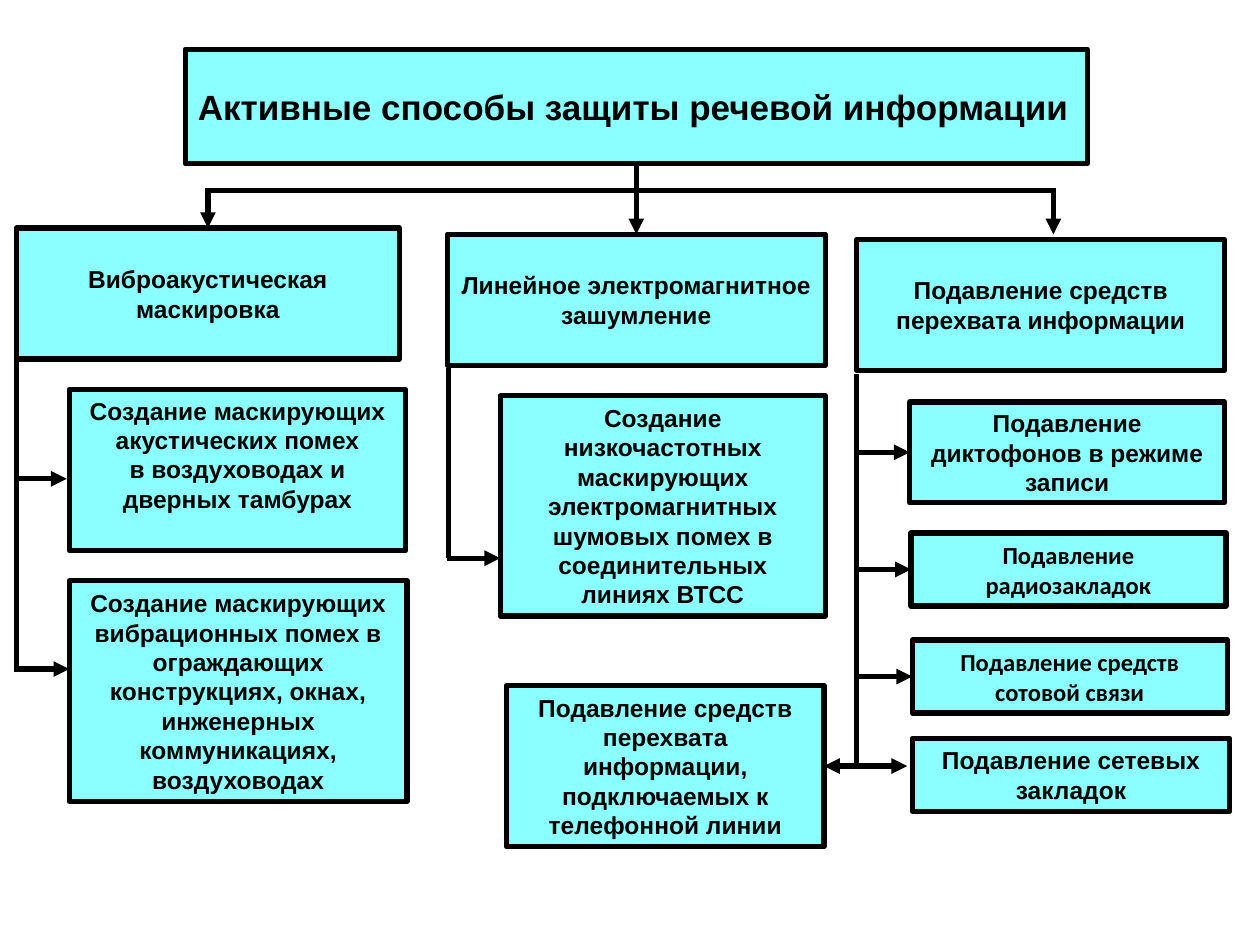
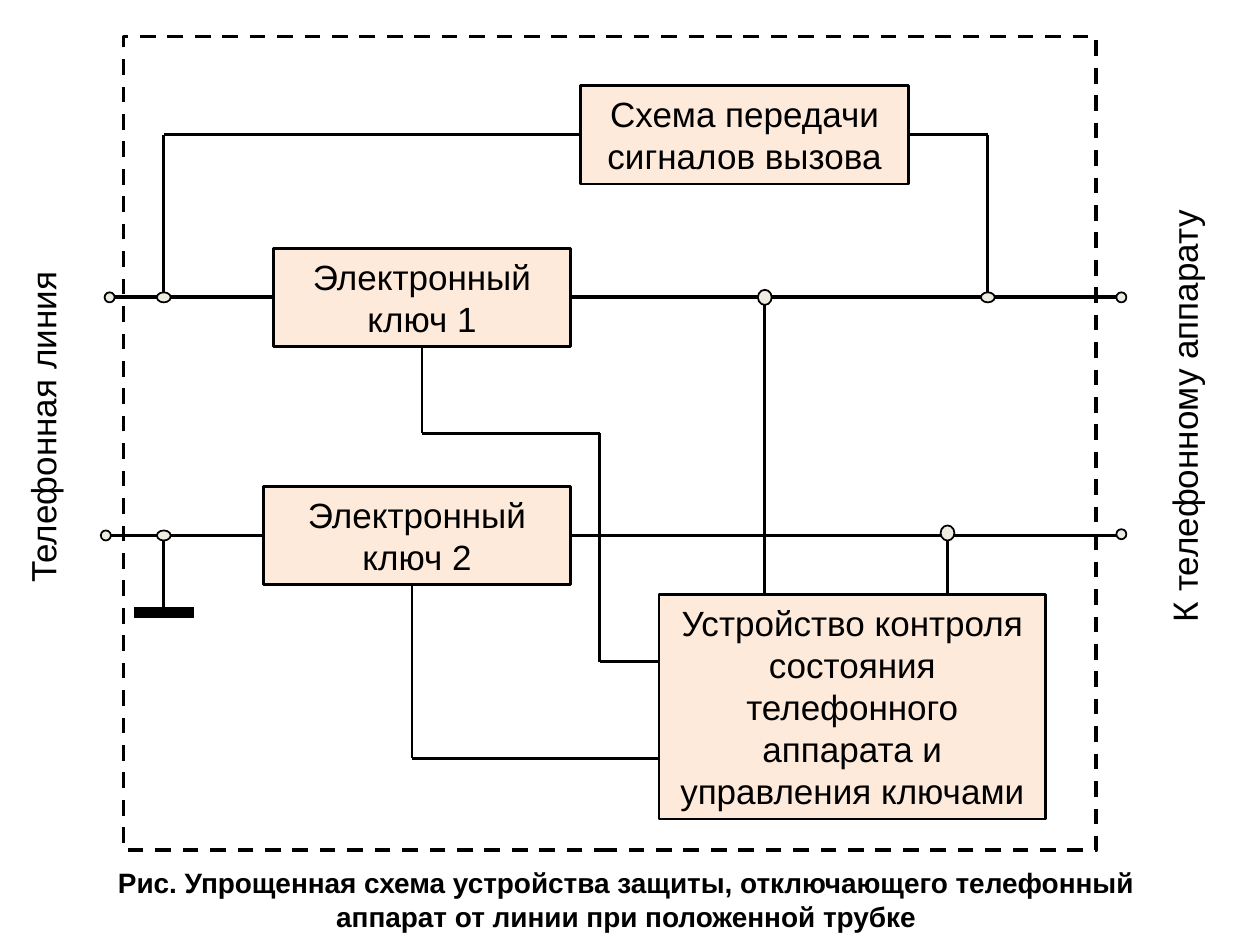
"""Build two slides on protecting speech information and telephone lines."""
from dataclasses import dataclass
from itertools import pairwise

from pptx import Presentation
from pptx.dml.color import RGBColor
from pptx.enum.dml import MSO_LINE
from pptx.enum.shapes import MSO_CONNECTOR, MSO_SHAPE
from pptx.enum.text import MSO_ANCHOR, MSO_AUTO_SIZE, PP_ALIGN
from pptx.oxml.ns import qn
from pptx.oxml.xmlchemy import OxmlElement
from pptx.util import Inches, Pt

STRAIGHT = MSO_CONNECTOR.STRAIGHT
RECTANGLE = MSO_SHAPE.RECTANGLE
NODE_SHAPE = MSO_SHAPE.FLOWCHART_CONNECTOR
DASH = MSO_LINE.DASH
TOP, MIDDLE = MSO_ANCHOR.TOP, MSO_ANCHOR.MIDDLE
LEFT, CENTER = PP_ALIGN.LEFT, PP_ALIGN.CENTER
NO_AUTOFIT = MSO_AUTO_SIZE.NONE
TITLE_ONLY, BLANK = 5, 6
JOIN_TOLERANCE = Inches(0.02)

Point = tuple[float, float]


@dataclass(frozen=True)
class Theme:
    ink: RGBColor = RGBColor(0x00, 0x00, 0x00)
    method_fill: RGBColor = RGBColor(0x8B, 0xFF, 0xFF)
    circuit_fill: RGBColor = RGBColor(0xFD, 0xEA, 0xDA)
    node_fill: RGBColor = RGBColor(0xEE, 0xEC, 0xE1)
    font: str = "Arial"
    second_font: str = "Calibri"
    large: int = 20
    caption: int = 16
    small: int = 14
    heavy: float = 3
    rail: float = 2.25
    thin: float = 1.5
    node: float = 1
    ground: float = 6


THEME = Theme()


@dataclass(frozen=True)
class TextStyle:
    size: int
    bold: bool = False
    font: str = THEME.font
    align: PP_ALIGN = CENTER
    anchor: MSO_ANCHOR = MIDDLE
    wrap: bool = True


@dataclass(frozen=True)
class Block:
    left: float
    top: float
    width: float
    height: float
    text: str
    style: TextStyle


@dataclass(frozen=True)
class Wire:
    points: tuple[Point, ...]
    width: float = THEME.thin
    arrow: bool = False


@dataclass(frozen=True)
class Node:
    x: float
    y: float
    width: float = 0.08
    height: float = 0.08


@dataclass(frozen=True)
class SideLabel:
    center_x: float
    center_y: float
    length: float
    text: str


METHOD = TextStyle(THEME.small, bold=True)
METHOD_TOP = TextStyle(THEME.small, bold=True, anchor=TOP)
METHOD_SECOND = TextStyle(THEME.small, bold=True, font=THEME.second_font)
TITLE = TextStyle(THEME.large, bold=True, align=LEFT, wrap=False)
CIRCUIT = TextStyle(THEME.large)
SIDE = TextStyle(THEME.large, align=LEFT, anchor=TOP, wrap=False)
CAPTION = TextStyle(THEME.caption, bold=True, anchor=TOP)

METHODS_TITLE = Block(1.47, 0.39, 7.16, 0.91,
                      "Активные способы защиты речевой информации", TITLE)
METHODS = (
    Block(0.13, 1.81, 3.04, 1.04, "Виброакустическая маскировка", METHOD),
    Block(3.55, 1.86, 3, 1.04, "Линейное электромагнитное зашумление", METHOD),
    Block(6.8, 1.9, 2.92, 1.04, "Подавление средств перехвата информации", METHOD),
    Block(0.55, 3.09, 2.67, 1.28,
          "Создание маскирующих акустических помех\nв воздуховодах и дверных тамбурах",
          METHOD_TOP),
    Block(0.55, 4.61, 2.68, 1.75,
          "Создание маскирующих вибрационных помех в ограждающих конструкциях, "
          "окнах, инженерных коммуникациях, воздуховодах", METHOD),
    Block(3.97, 3.14, 2.58, 1.75,
          "Создание низкочастотных маскирующих электромагнитных шумовых помех "
          "в соединительных линиях ВТСС", METHOD),
    Block(4.02, 5.44, 2.52, 1.28,
          "Подавление средств перехвата информации, подключаемых к телефонной линии",
          METHOD),
    Block(7.22, 3.19, 2.5, 0.8, "Подавление диктофонов в режиме записи", METHOD),
    Block(7.23, 4.23, 2.5, 0.58, "Подавление радиозакладок", METHOD_SECOND),
    Block(7.24, 5.08, 2.5, 0.58, "Подавление средств сотовой связи", METHOD_SECOND),
    Block(7.24, 5.86, 2.52, 0.58, "Подавление сетевых закладок", METHOD),
)
TRUNKS = (
    ((1.63, 1.51), (8.38, 1.51)),
    ((0.13, 2.75), (0.13, 5.33)),
    ((3.56, 2.92), (3.56, 4.43)),
    ((6.8, 2.97), (6.8, 6.08)),
)
BRANCHES = (
    ((5.05, 1.3), (5.05, 1.86)),
    ((1.65, 1.51), (1.65, 1.81)),
    ((8.36, 1.51), (8.36, 1.86)),
    ((0.13, 3.8), (0.53, 3.8)),
    ((0.13, 5.31), (0.55, 5.31)),
    ((3.55, 4.43), (3.97, 4.43)),
    ((6.8, 3.59), (7.22, 3.59)),
    ((6.8, 4.52), (7.23, 4.52)),
    ((6.8, 5.37), (7.24, 5.37)),
    ((6.8, 6.08), (7.2, 6.08)),
    ((6.8, 6.08), (6.54, 6.08)),
)

CIRCUIT_BLOCKS = (
    Block(4.61, 0.68, 2.6, 0.78, "Схема передачи сигналов вызова", CIRCUIT),
    Block(2.17, 1.97, 2.36, 0.78, "Электронный ключ 1", CIRCUIT),
    Block(2.09, 3.86, 2.44, 0.78, "Электронный ключ 2", CIRCUIT),
    Block(5.23, 4.72, 3.07, 1.78,
          "Устройство контроля состояния телефонного аппарата и управления ключами",
          CIRCUIT),
)
CIRCUIT_WIRES = (
    Wire(((0.87, 2.36), (2.17, 2.36)), THEME.rail),
    Wire(((4.53, 2.36), (8.86, 2.36)), THEME.rail),
    Wire(((0.84, 4.25), (2.09, 4.25)), THEME.rail),
    Wire(((4.53, 4.25), (8.86, 4.25)), THEME.rail),
    Wire(((4.61, 1.07), (1.3, 1.07), (1.3, 2.34))),
    Wire(((7.21, 1.07), (7.84, 1.07), (7.84, 2.33))),
    Wire(((3.35, 2.75), (3.35, 3.44), (4.76, 3.44), (4.76, 5.25), (5.23, 5.25))),
    Wire(((3.27, 4.64), (3.27, 6.02), (5.23, 6.02))),
    Wire(((6.07, 2.36), (6.07, 4.72))),
    Wire(((7.52, 4.22), (7.52, 4.72))),
    Wire(((1.3, 4.25), (1.3, 4.86))),
    Wire(((1.06, 4.86), (1.54, 4.86)), THEME.ground),
)
NODES = (
    Node(0.87, 2.36), Node(0.84, 4.25), Node(8.9, 2.36), Node(8.9, 4.24),
    Node(1.3, 2.36, 0.11), Node(1.3, 4.25, 0.11), Node(7.84, 2.36, 0.11),
    Node(6.07, 2.36, 0.11, 0.12), Node(7.52, 4.23, 0.11, 0.12),
)
SIDE_LABELS = (
    SideLabel(0.34, 3.38, 2.69, "Телефонная линия"),
    SideLabel(9.4, 3.29, 3.49, "К телефонному аппарату"),
)
FIGURE_CAPTION = Block(
    0.56, 6.82, 8.82, 0.64,
    "Рис. Упрощенная схема устройства защиты, отключающего телефонный аппарат "
    "от линии при положенной трубке", CAPTION)


def bounds(left: float, top: float, width: float, height: float) -> tuple:
    """Convert a rectangle in inches to slide lengths."""
    return Inches(left), Inches(top), Inches(width), Inches(height)


def write_text(box, text: str, style: TextStyle) -> None:
    """Set and format the text of a box."""
    frame = box.text_frame
    frame.text = text
    frame.auto_size = NO_AUTOFIT
    frame.word_wrap = style.wrap
    frame.vertical_anchor = style.anchor
    for paragraph in frame.paragraphs:
        paragraph.alignment = style.align
        for span in paragraph.runs:
            span.font.name = style.font
            span.font.size = Pt(style.size)
            span.font.bold = style.bold
            span.font.color.rgb = THEME.ink


def paint(box, fill: RGBColor | None, width: float) -> None:
    """Give a box its fill and outline."""
    if fill is None:
        box.fill.background()
    else:
        box.fill.solid()
        box.fill.fore_color.rgb = fill
    box.line.color.rgb = THEME.ink
    box.line.width = Pt(width)


def add_outline(page, shape_type, place: tuple, fill: RGBColor | None, width: float):
    """Add a painted preset shape without a shadow."""
    box = page.shapes.add_shape(shape_type, *place)
    box.shadow.inherit = False
    paint(box, fill, width)
    return box


def add_block(page, block: Block, fill: RGBColor, width: float):
    """Add a rectangle with text."""
    place = bounds(block.left, block.top, block.width, block.height)
    box = add_outline(page, RECTANGLE, place, fill, width)
    write_text(box, block.text, block.style)
    return box


def add_label(page, place: tuple, text: str, style: TextStyle):
    """Add a plain text box."""
    box = page.shapes.add_textbox(*place)
    write_text(box, text, style)
    return box


def find_joint(boxes: list, x: int, y: int):
    """Find the box and side whose midpoint lies at a position."""
    for box in boxes:
        center_x, center_y = box.left + box.width // 2, box.top + box.height // 2
        sides = ((center_x, box.top), (box.left, center_y),
                 (center_x, box.top + box.height), (box.left + box.width, center_y))
        for side, (side_x, side_y) in enumerate(sides):
            if max(abs(side_x - x), abs(side_y - y)) <= JOIN_TOLERANCE:
                return box, side
    return None


def add_wire(page, wire: Wire, boxes: list) -> None:
    """Draw a wire through its points and join it to the boxes it meets."""
    for start, end in pairwise(wire.points):
        begin_x, begin_y, end_x, end_y = (Inches(value) for value in start + end)
        connector = page.shapes.add_connector(STRAIGHT, begin_x, begin_y, end_x, end_y)
        connector.line.color.rgb = THEME.ink
        connector.line.width = Pt(wire.width)
        properties = connector.element.spPr
        if wire.arrow:
            arrowhead = OxmlElement("a:tailEnd")
            arrowhead.set("type", "triangle")
            properties.find(qn("a:ln")).append(arrowhead)
        properties.append(OxmlElement("a:effectLst"))
        if joint := find_joint(boxes, begin_x, begin_y):
            connector.begin_connect(*joint)
        if joint := find_joint(boxes, end_x, end_y):
            connector.end_connect(*joint)


def build_methods(deck) -> None:
    """Build the tree of active protection methods."""
    page = deck.slides.add_slide(deck.slide_layouts[TITLE_ONLY])
    title = page.shapes.title
    title.left, title.top, title.width, title.height = bounds(
        METHODS_TITLE.left, METHODS_TITLE.top, METHODS_TITLE.width, METHODS_TITLE.height)
    paint(title, THEME.method_fill, THEME.heavy)
    write_text(title, METHODS_TITLE.text, METHODS_TITLE.style)
    boxes = [title]
    boxes += [add_block(page, block, THEME.method_fill, THEME.heavy) for block in METHODS]
    for points in TRUNKS:
        add_wire(page, Wire(points, THEME.heavy), boxes)
    for points in BRANCHES:
        add_wire(page, Wire(points, THEME.heavy, arrow=True), boxes)


def build_circuit(deck) -> None:
    """Build the diagram of the telephone protection device."""
    page = deck.slides.add_slide(deck.slide_layouts[BLANK])
    add_outline(page, RECTANGLE, bounds(0.98, 0.29, 7.72, 6.46), None,
                THEME.rail).line.dash_style = DASH
    boxes = [add_block(page, block, THEME.circuit_fill, THEME.thin)
             for block in CIRCUIT_BLOCKS]
    for wire in CIRCUIT_WIRES:
        add_wire(page, wire, boxes)
    for node in NODES:
        place = bounds(node.x - node.width / 2, node.y - node.height / 2,
                       node.width, node.height)
        add_outline(page, NODE_SHAPE, place, THEME.node_fill, THEME.node)
    for label in SIDE_LABELS:
        place = bounds(label.center_x - label.length / 2, label.center_y - 0.22,
                       label.length, 0.44)
        add_label(page, place, label.text, SIDE).rotation = 270
    caption = FIGURE_CAPTION
    place = bounds(caption.left, caption.top, caption.width, caption.height)
    add_label(page, place, caption.text, caption.style)


def main() -> None:
    """Build and save the deck."""
    deck = Presentation()
    deck.slide_width, deck.slide_height = Inches(10), Inches(7.5)
    build_methods(deck)
    build_circuit(deck)
    deck.save("out.pptx")


if __name__ == "__main__":
    main()
